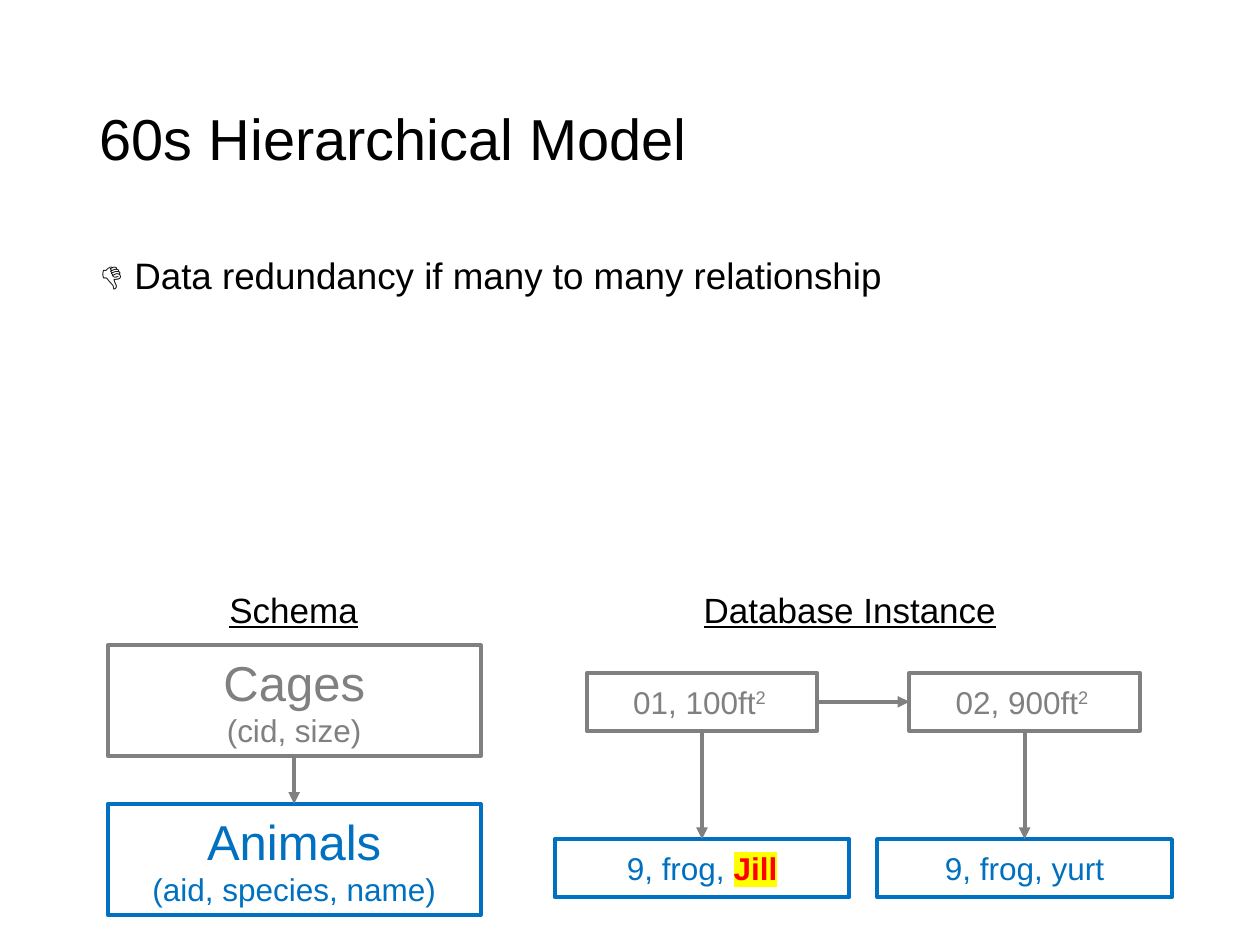
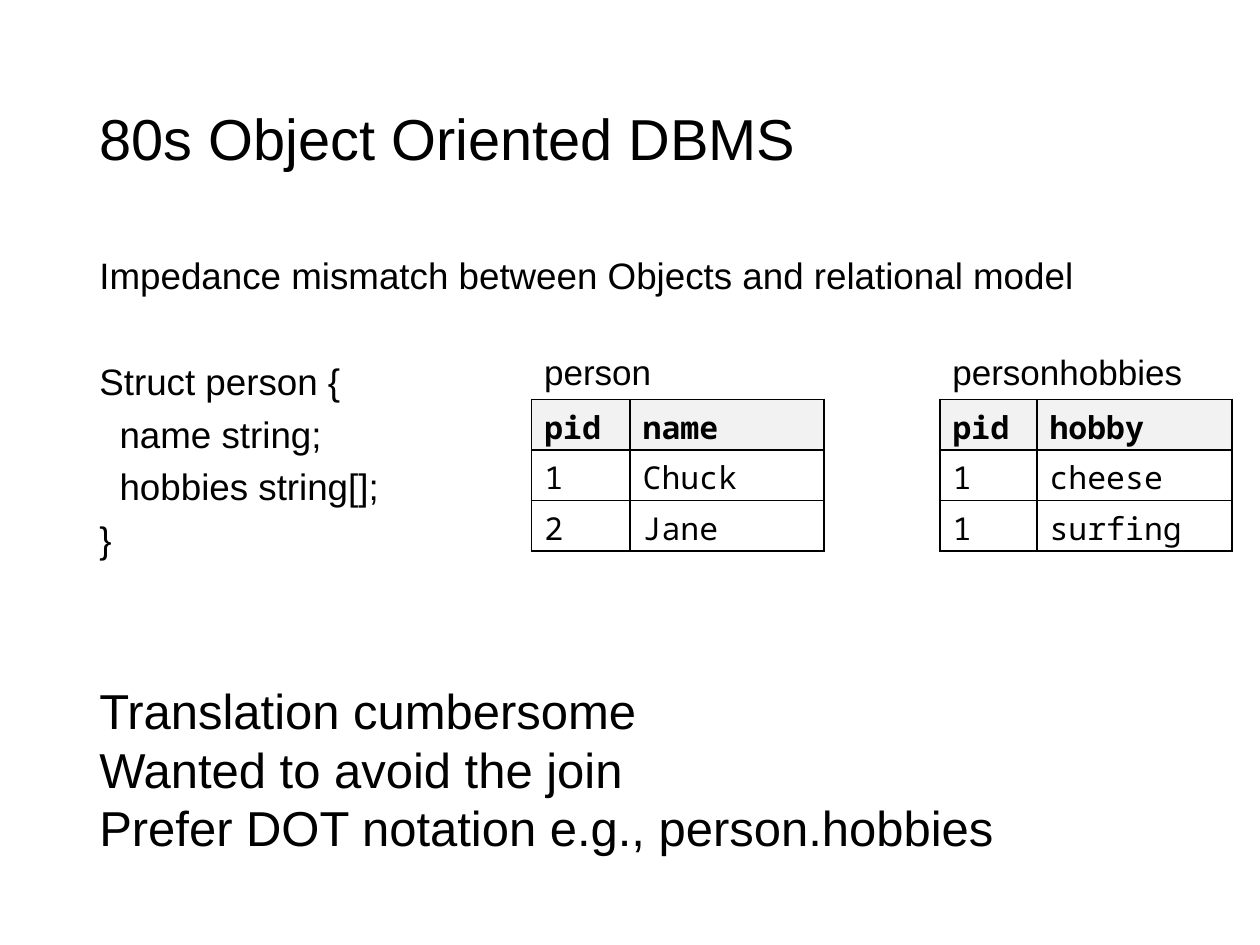
from lxml.etree import SubElement
from pptx import Presentation
from pptx.dml.color import RGBColor
from pptx.enum.shapes import MSO_CONNECTOR, MSO_SHAPE
from pptx.enum.text import MSO_ANCHOR, MSO_AUTO_SIZE, PP_ALIGN
from pptx.oxml import parse_xml
from pptx.oxml.ns import nsdecls, qn
from pptx.util import Inches, Pt

# Slide grid: 100 columns by 75 rows
SLIDE_WIDTH, SLIDE_HEIGHT = Inches(10), Inches(7.5)
COLUMN, ROW = SLIDE_WIDTH / 100, SLIDE_HEIGHT / 75

# Colours and fonts
BLACK = RGBColor(0x00, 0x00, 0x00)
WHITE = RGBColor(0xFF, 0xFF, 0xFF)
GRAY = RGBColor(0x80, 0x80, 0x80)
BLUE = RGBColor(0x00, 0x70, 0xC0)
RED = RGBColor(0xFF, 0x00, 0x00)
YELLOW = RGBColor(0xFF, 0xFF, 0x00)
HEADER_FILL = RGBColor(0xF2, 0xF2, 0xF2)
TEXT_FONT, TABLE_FONT = "Arial", "Noto Sans Mono"

# Text formats
TITLE = {"size": Pt(33)}
BODY = {"size": Pt(21)}
LABEL = {"size": Pt(20)}
HEADING = {"size": Pt(20), "underline": True}
LARGE = {"size": Pt(28)}
SMALL = {"size": Pt(18)}
BODY_SPACING = {"line_spacing": 0.9, "space_before": Pt(7.5)}

# Shared positions
MARGIN, CONTENT_WIDTH = 6.9, 86.2


def grid(left, top, width, height):
    return (round(left * COLUMN), round(top * ROW),
            round(width * COLUMN), round(height * ROW))


def set_attributes(target, values):
    for name, value in values.items():
        setattr(target, name, value)


def add_run(paragraph, text, font_values, color=BLACK, font_name=TEXT_FONT):
    run = paragraph.add_run()
    run.text = text
    set_attributes(run.font, {"name": font_name, **font_values})
    run.font.color.rgb = color
    return run


def highlight(run, color):
    fill = run.font._element.find(qn("a:solidFill"))
    fill.addnext(parse_xml(
        f'<a:highlight {nsdecls("a")}><a:srgbClr val="{color}"/></a:highlight>'))


def write_lines(frame, lines, color=BLACK, **paragraph_values):
    """Write (text, font values) pairs, one paragraph each."""
    for index, (text, font_values) in enumerate(lines):
        paragraph = frame.add_paragraph() if index else frame.paragraphs[0]
        set_attributes(paragraph, paragraph_values)
        add_run(paragraph, text, font_values, color)


def add_titled_slide(presentation, title):
    slide = presentation.slides.add_slide(presentation.slide_layouts[5])
    shape = slide.shapes.title
    box = grid(MARGIN, 4, CONTENT_WIDTH, 14.5)
    set_attributes(shape, dict(zip(("left", "top", "width", "height"), box)))
    set_attributes(shape.text_frame, {"vertical_anchor": MSO_ANCHOR.MIDDLE,
                                      "auto_size": MSO_AUTO_SIZE.NONE})
    write_lines(shape.text_frame, [(title, TITLE)],
                alignment=PP_ALIGN.LEFT, line_spacing=0.9)
    return slide


def add_text(slide, box, lines, wrap=False, **paragraph_values):
    frame = slide.shapes.add_textbox(*grid(*box)).text_frame
    frame.word_wrap = wrap
    write_lines(frame, lines, **paragraph_values)
    return frame


def add_body(slide, lines):
    return add_text(slide, (MARGIN, 20, CONTENT_WIDTH, 47.6),
                    [(line, BODY) for line in lines], wrap=True, **BODY_SPACING)


def add_box(slide, center, top, width, height, color, lines):
    shape = slide.shapes.add_shape(
        MSO_SHAPE.RECTANGLE, *grid(center - width / 2, top, width, height))
    shape.shadow.inherit = False
    shape.fill.solid()
    shape.fill.fore_color.rgb = WHITE
    shape.line.color.rgb = color
    shape.line.width = Pt(2.25)
    shape.text_frame.vertical_anchor = MSO_ANCHOR.MIDDLE
    write_lines(shape.text_frame, lines, color, alignment=PP_ALIGN.CENTER)
    return shape


def add_arrow(slide, start, start_side, end, end_side):
    arrow = slide.shapes.add_connector(MSO_CONNECTOR.STRAIGHT, 0, 0, 0, 0)
    arrow.begin_connect(start, start_side)
    arrow.end_connect(end, end_side)
    arrow.line.color.rgb = GRAY
    arrow.line.width = Pt(2.25)
    SubElement(arrow.line._get_or_add_ln(), qn("a:tailEnd"), type="triangle")
    SubElement(arrow._element.spPr, qn("a:effectLst"))


def add_borders(cell):
    properties = cell._tc.get_or_add_tcPr()
    for side in "LRTB":
        properties.append(parse_xml(
            f'<a:ln{side} {nsdecls("a")} w="{Pt(1)}"><a:solidFill>'
            f'<a:srgbClr val="{BLACK}"/></a:solidFill></a:ln{side}>'))


def add_relation(slide, left, name, name_width, column_widths, rows):
    """Add a named table; its first row is the header."""
    table_top, row_height = 31.7, 3.37
    table = slide.shapes.add_table(
        len(rows), len(column_widths),
        *grid(left, table_top, sum(column_widths), row_height * len(rows))).table
    table.horz_banding = False
    for column, width in zip(table.columns, column_widths):
        column.width = round(width * COLUMN)
    for row_index, values in enumerate(rows):
        is_header = row_index == 0
        for column_index, value in enumerate(values):
            cell = table.cell(row_index, column_index)
            add_borders(cell)
            cell.fill.solid()
            cell.fill.fore_color.rgb = HEADER_FILL if is_header else WHITE
            add_run(cell.text_frame.paragraphs[0], value,
                    {**SMALL, "bold": is_header}, font_name=TABLE_FONT)
    add_text(slide, (left, table_top - 4.4, name_width, 4.4), [(name, LABEL)])


def build_hierarchical_slide(presentation):
    slide = add_titled_slide(presentation, "60s Hierarchical Model")
    add_body(slide, ["👎 Data redundancy if many to many relationship"])

    # Schema
    schema_center = 23.35
    cages, animals = [
        add_box(slide, schema_center, top, 29.6, 8.8, color,
                [(name, LARGE), (fields, SMALL)])
        for top, color, name, fields in (
            (51.2, GRAY, "Cages", "(cid, size)"),
            (63.8, BLUE, "Animals", "(aid, species, name)"))]
    add_arrow(slide, cages, 2, animals, 0)

    # Database instance: each cage above its animal
    cage_boxes, animal_boxes = [], []
    records = (("01, 100ft", "9, frog, "), ("02, 900ft", "9, frog, yurt"))
    for index, (cage, animal) in enumerate(records):
        center = 55.72 + 25.6 * index
        cage_box = add_box(slide, center, 53.4, 18.3, 4.6, GRAY, [(cage, SMALL)])
        square = add_run(cage_box.text_frame.paragraphs[0], "2 ", SMALL, GRAY)
        square.font._element.set("baseline", "30000")
        animal_box = add_box(slide, center, 66.6, 23.4, 4.6, BLUE, [(animal, SMALL)])
        add_arrow(slide, cage_box, 2, animal_box, 0)
        cage_boxes.append(cage_box)
        animal_boxes.append(animal_box)
    add_arrow(slide, cage_boxes[0], 3, cage_boxes[1], 1)
    keeper = add_run(animal_boxes[0].text_frame.paragraphs[0], "Jill",
                     {**SMALL, "bold": True}, RED)
    highlight(keeper, YELLOW)

    # Headings
    for left, width, heading in ((17.2, 12.2, "Schema"),
                                 (54.7, 25.5, "Database Instance")):
        add_text(slide, (left, 46.2, width, 4.4), [(heading, HEADING)],
                 alignment=PP_ALIGN.CENTER)


def build_object_slide(presentation):
    slide = add_titled_slide(presentation, "80s Object Oriented DBMS")

    # Statement and struct, set apart by one line
    body = add_body(slide, ["Impedance mismatch between Objects and relational model",
                            "Struct person {", "name string;",
                            "hobbies string[];", "}"])
    body.paragraphs[1].space_before = Pt(37.5)
    for field in body.paragraphs[2:4]:
        field._p.get_or_add_pPr().set("marL", str(Inches(0.16)))

    # Relations
    add_relation(slide, 42.2, "person", 11, (7.8, 15.4),
                 (("pid", "name"), ("1", "Chuck"), ("2", "Jane")))
    add_relation(slide, 74.6, "personhobbies", 21.5, (7.7, 15.5),
                 (("pid", "hobby"), ("1", "cheese"), ("1", "surfing")))

    # Conclusions
    conclusions = ("Translation cumbersome", "Wanted to avoid the join",
                   "Prefer DOT notation e.g., person.hobbies")
    add_text(slide, (MARGIN, 53.5, 76.6, 15.1),
             [(line, LARGE) for line in conclusions])


def main():
    presentation = Presentation()
    set_attributes(presentation, {"slide_width": SLIDE_WIDTH,
                                  "slide_height": SLIDE_HEIGHT})
    build_hierarchical_slide(presentation)
    build_object_slide(presentation)
    presentation.save("out.pptx")


if __name__ == "__main__":
    main()
